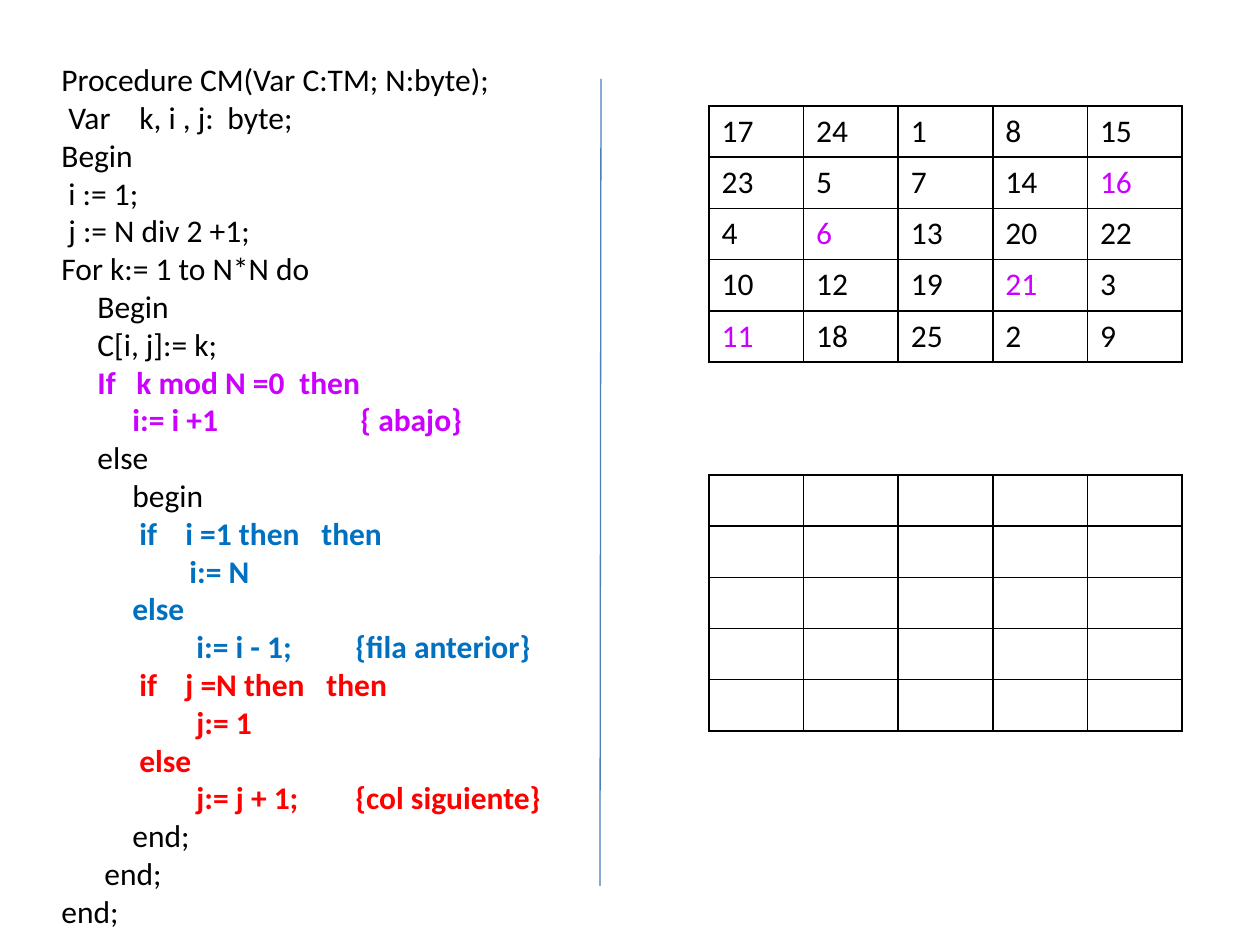
from lxml.etree import SubElement
from pptx import Presentation
from pptx.dml.color import RGBColor as Rgb
from pptx.enum.shapes import MSO_CONNECTOR as Connector
from pptx.oxml.ns import qn
from pptx.util import Emu, Pt

THEME = {
    "font": "Calibri",
    "size": Pt(18),
    "text": Rgb.from_string("000000"),
    "down": Rgb.from_string("CC00FF"),
    "row": Rgb.from_string("0070C0"),
    "column": Rgb.from_string("FF0000"),
    "divider": Rgb.from_string("4B7EBC"),
}
PX = 914400 / 126


def px(length):
    return Emu(round(length * PX))


def format_span(span, role):
    values = {"name": THEME["font"], "size": THEME["size"]}
    for name, value in values.items():
        setattr(span.font, name, value)
    span.font.color.rgb = THEME[role]


# Each line: colour role, then pieces as (distance from the left edge, text)
CODE = [
    ("text", (0, "Procedure CM(Var C:TM; N:byte);")),
    ("text", (7, "Var"), (78, "k, i , j:"), (166, "byte;")),
    ("text", (0, "Begin")),
    ("text", (7, "i := 1;")),
    ("text", (7, "j := N div 2 +1;")),
    ("text", (0, "For k:= 1 to N*N do")),
    ("text", (36, "Begin")),
    ("text", (36, "C[i, j]:= k;")),
    ("down", (36, "If"), (75, "k mod N =0"), (238, "then")),
    ("down", (71, "i:= i +1"), (299, "{ abajo}")),
    ("text", (36, "else")),
    ("text", (71, "begin")),
    ("row", (78, "if"), (124, "i =1 then"), (260, "then")),
    ("row", (128, "i:= N")),
    ("row", (71, "else")),
    ("row", (135, "i:= i - 1;"), (294, "{fila anterior}")),
    ("column", (78, "if"), (124, "j =N then"), (265, "then")),
    ("column", (135, "j:= 1")),
    ("column", (78, "else")),
    ("column", (135, "j:= j + 1;"), (294, "{col siguiente}")),
    ("text", (71, "end;")),
    ("text", (43, "end;")),
    ("text", (0, "end;")),
]
N = 5
MAGIC_SQUARE = [
    [17, 24, 1, 8, 15],
    [23, 5, 7, 14, 16],
    [4, 6, 13, 20, 22],
    [10, 12, 19, 21, 3],
    [11, 18, 25, 2, 9],
]
EMPTY_SQUARE = [[None] * N for _ in range(N)]

deck = Presentation()
deck.slide_width, deck.slide_height = px(1260), px(945)
page = deck.slides.add_slide(deck.slide_layouts[6])

# Procedure, with tab stops for indents and gaps
box = page.shapes.add_textbox(px(49), px(54), px(512), px(891))
frame = box.text_frame
frame.word_wrap = True
for index, (role, *pieces) in enumerate(CODE):
    para = frame.paragraphs[0] if index == 0 else frame.add_paragraph()
    stops = [left for left, _ in pieces if left]
    if stops:
        tabs = SubElement(para._p.get_or_add_pPr(), qn("a:tabLst"))
        for left in stops:
            SubElement(tabs, qn("a:tab"), pos=str(px(left)), algn="l")
    span = para.add_run()
    span.text = "".join(f"\t{text}" if left else text for left, text in pieces)
    format_span(span, role)
    span.font.bold = role != "text"

# Divider
divider = page.shapes.add_connector(
    Connector.STRAIGHT, px(601), px(79), px(600), px(886))
divider.line.color.rgb = THEME["divider"]
divider.line.width = Pt(0.75)
SubElement(divider._element.spPr, qn("a:effectLst"))

# Magic square and the blank grid below it
for top, square in ((106, MAGIC_SQUARE), (475, EMPTY_SQUARE)):
    grid = page.shapes.add_table(N, N, px(709), px(top), px(473), px(256)).table
    grid.first_row = grid.horz_banding = False
    for row, numbers in enumerate(square):
        for column, number in enumerate(numbers):
            cell = grid.cell(row, column)
            properties = cell._tc.get_or_add_tcPr()
            for side in ("lnL", "lnR", "lnT", "lnB"):
                border = SubElement(properties, qn(f"a:{side}"), w=str(Pt(1)))
                fill = SubElement(border, qn("a:solidFill"))
                SubElement(fill, qn("a:srgbClr"), val=str(THEME["text"]))
            cell.fill.background()
            if number is not None:
                span = cell.text_frame.paragraphs[0].add_run()
                span.text = str(number)
                # Numbers reached by a step down start each new group of N
                format_span(span, "down" if number > 1 and number % N == 1 else "text")

deck.save("out.pptx")
